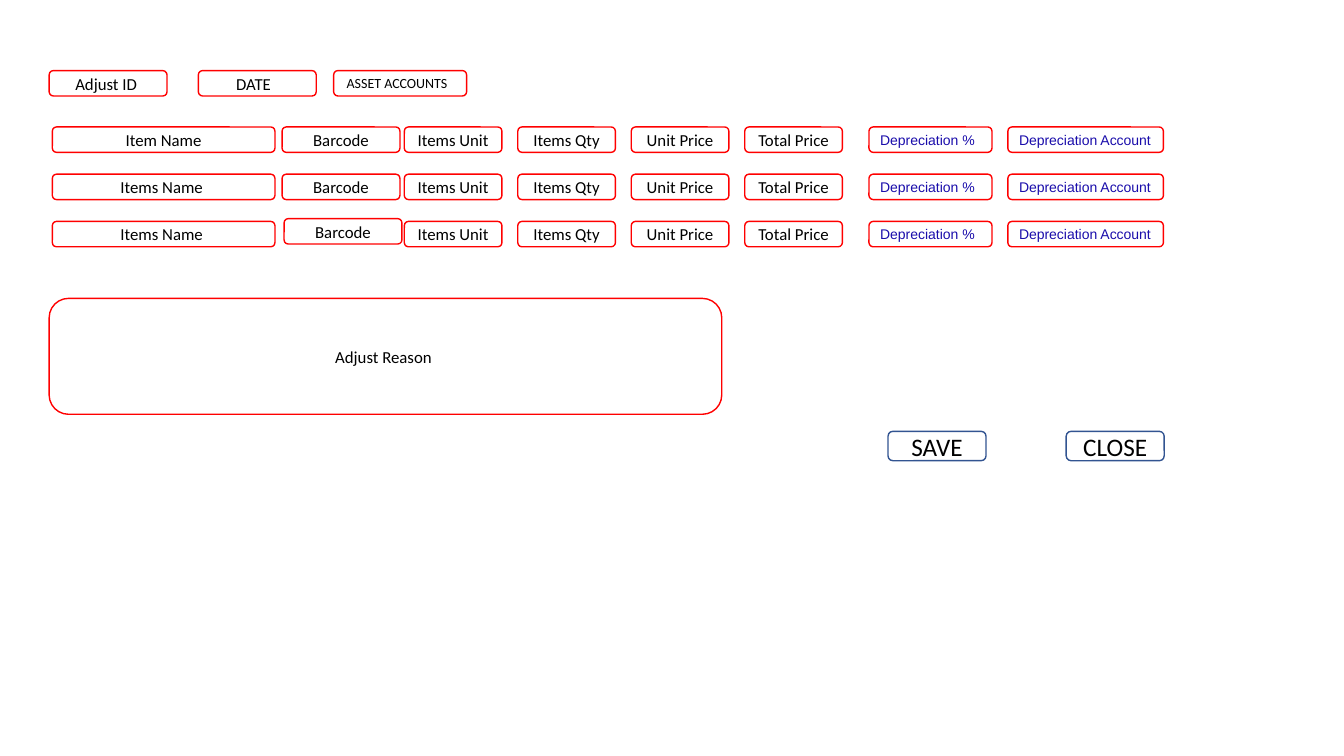
from pptx import Presentation
from pptx.dml.color import RGBColor
from pptx.enum.shapes import MSO_SHAPE as SHAPE
from pptx.enum.text import MSO_ANCHOR as ANCHOR, PP_ALIGN as ALIGN
from pptx.util import Cm, Pt

RED, BLUE, BLACK, LINK = "FF0000", "325491", "000000", "1A0DAB"
FIELD_H = 0.64
ROW_TOP, ROW_STEP = 3.2, 1.19
UNIT_LEFT, UNIT_STEP, UNIT_W = 10.19, 2.86, 2.46


def color(value):
    """Turn a hex string into a colour."""
    return RGBColor.from_string(value)


def box(s, text, left, top, width, height=FIELD_H, line=RED, size=12,
        font="Calibri", ink=BLACK, align=ALIGN.CENTER):
    """Draw an outlined rounded box with one line of text."""
    sp = s.shapes.add_shape(SHAPE.ROUNDED_RECTANGLE,
                            Cm(left), Cm(top), Cm(width), Cm(height))
    sp.shadow.inherit = False
    sp.fill.background()
    sp.line.color.rgb = color(line)
    sp.line.width = Pt(1)
    tf = sp.text_frame
    tf.word_wrap = True
    tf.vertical_anchor = ANCHOR.MIDDLE
    p = tf.paragraphs[0]
    p.alignment = align
    r = p.add_run()
    r.text = text
    r.font.name = font
    r.font.size = Pt(size)
    r.font.color.rgb = color(ink)


def link_box(s, text, left, top, width):
    """Draw a field with small blue text on the left."""
    box(s, text, left, top, width, size=10, font="Arial", ink=LINK,
        align=ALIGN.LEFT)


def button(s, text, left):
    """Draw a blue button."""
    box(s, text, left, 10.87, 2.47, 0.74, line=BLUE, size=18)


def item_row(s, top, name, barcode_left, barcode_top):
    """Draw the fields of one item."""
    box(s, name, 1.32, top, 5.61)
    box(s, "Barcode", barcode_left, barcode_top, 2.97)
    units = ("Items Unit", "Items Qty", "Unit Price", "Total Price")
    for i, text in enumerate(units):
        box(s, text, UNIT_LEFT + i * UNIT_STEP, top, UNIT_W)
    link_box(s, "Depreciation %", 21.9, top, 3.1)
    link_box(s, "Depreciation Account", 25.4, top, 3.92)


def main():
    """Build the asset adjustment form."""
    prs = Presentation()
    prs.slide_width, prs.slide_height = Cm(33.87), Cm(19.05)
    s = prs.slides.add_slide(prs.slide_layouts[6])

    box(s, "Adjust ID ", 1.24, 1.78, 2.97)
    box(s, "DATE  ", 5, 1.78, 2.97)
    box(s, "ASSET ACCOUNTS  ", 8.41, 1.78, 3.35, size=10)

    rows = ((" Item Name ", 7.11, 0), ("Items Name ", 7.11, 0),
            ("Items Name ", 7.16, -0.07))
    for i, (name, barcode_left, shift) in enumerate(rows):
        top = ROW_TOP + i * ROW_STEP
        item_row(s, top, name, barcode_left, top + shift)

    box(s, "Adjust Reason ", 1.24, 7.52, 16.95, 2.92)
    button(s, "SAVE", 22.38)
    button(s, "CLOSE", 26.87)
    prs.save("out.pptx")


if __name__ == "__main__":
    main()
